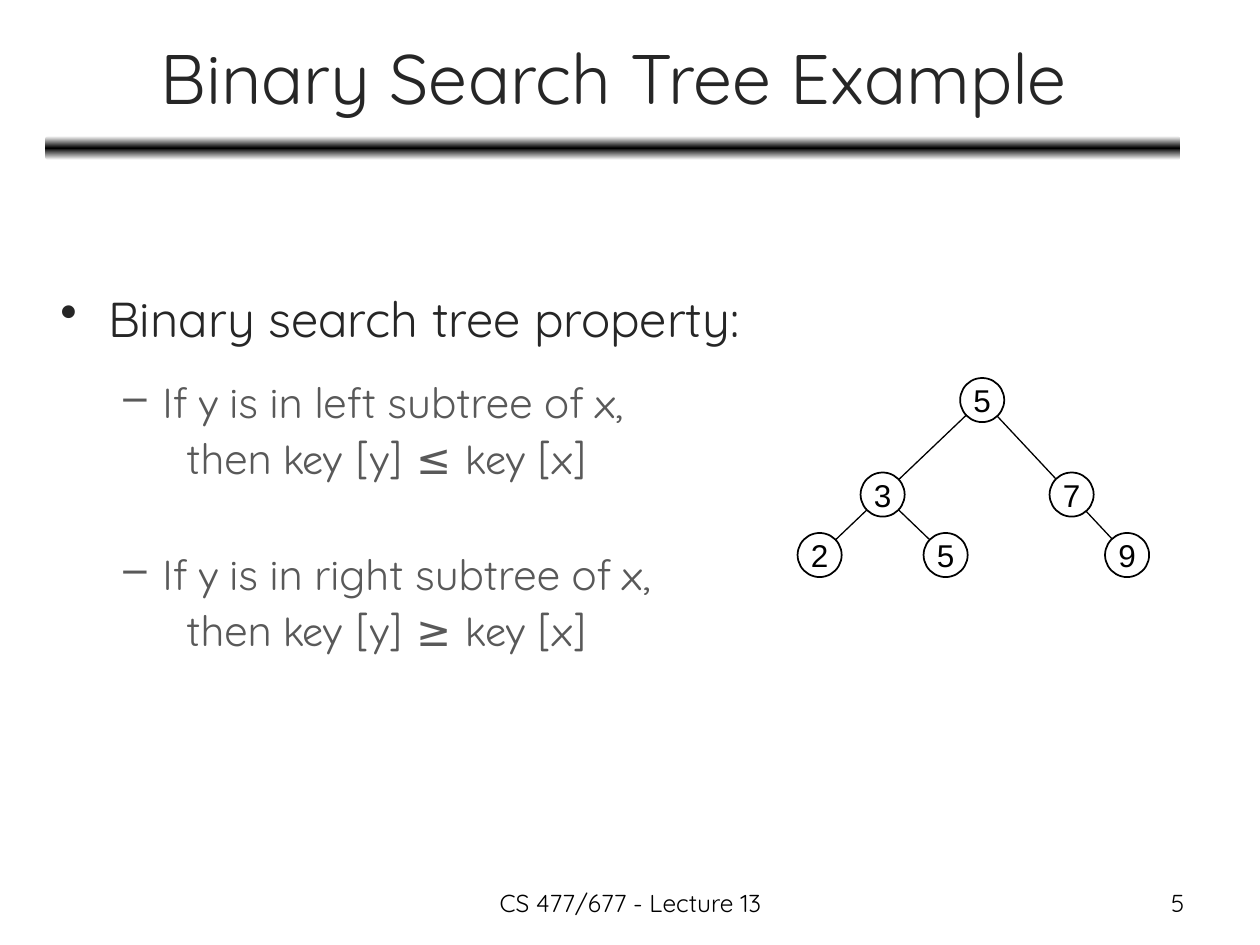
from copy import deepcopy

from lxml.etree import SubElement
from pptx import Presentation
from pptx.dml.color import RGBColor
from pptx.enum.shapes import MSO_CONNECTOR, MSO_SHAPE
from pptx.enum.text import MSO_ANCHOR, PP_ALIGN
from pptx.oxml.ns import qn
from pptx.util import Inches, Pt

BLACK = RGBColor(0x00, 0x00, 0x00)
WHITE = RGBColor(0xFF, 0xFF, 0xFF)
INK = RGBColor(0x26, 0x26, 0x26)
GREY = RGBColor(0x59, 0x59, 0x59)

NODE_SIZE = 0.35
TREE_NODES = {
    "left leaf": ("2", 6.33, 4.23),
    "left child": ("3", 6.83, 3.75),
    "inner leaf": ("5", 7.33, 4.23),
    "root": ("5", 7.62, 3),
    "right child": ("7", 8.33, 3.75),
    "right leaf": ("9", 8.77, 4.23),
}
BRANCHES = [("inner leaf", "left child"), ("right leaf", "root"), ("left leaf", "root")]


class SlideBuilder:
    """Draws styled elements on the current slide."""

    text_font = "Quicksand"
    formula_font = "Comic Neue"
    node_font = "Arial"

    def __init__(self, slide):
        self.slide = slide

    def style(self, font, size, color, name=None):
        font.size, font.name = Pt(size), name or self.text_font
        font.color.rgb = color

    def title(self, text, left, top, width, height):
        title = self.slide.shapes.title
        title.left, title.top = Inches(left), Inches(top)
        title.width, title.height = Inches(width), Inches(height)
        title.text_frame.text = text
        title.text_frame.vertical_anchor = MSO_ANCHOR.MIDDLE
        heading = title.text_frame.paragraphs[0]
        heading.alignment = PP_ALIGN.CENTER
        self.style(heading.font, 40, INK)

    def rule(self, left, top, width, height):
        bar = self.slide.shapes.add_shape(
            MSO_SHAPE.ROUNDED_RECTANGLE, Inches(left), Inches(top), Inches(width), Inches(height))
        bar.shadow.inherit = False
        bar.line.fill.background()
        bar.fill.gradient()
        bar.fill.gradient_angle = 90
        stops = bar._element.spPr.find(qn("a:gradFill")).find(qn("a:gsLst"))
        stops.insert(1, deepcopy(stops[0]))
        for stop, position, color in zip(bar.fill.gradient_stops, (0, 0.5, 1), (WHITE, BLACK, WHITE)):
            stop.position = position
            stop.color.rgb = color

    def text_frame(self, left, top, width, height):
        box = self.slide.shapes.add_textbox(Inches(left), Inches(top), Inches(width), Inches(height))
        box.text_frame.word_wrap = True
        return box.text_frame

    def footer(self, text, left, width, alignment):
        line = self.text_frame(left, 7, width, 0.35).paragraphs[0]
        line.text, line.alignment = text, alignment
        self.style(line.font, 14, BLACK)

    def item(self, paragraph, text, size, color, margin, indent, before, bullet=None):
        """Adds an item whose parts between bars alternate text and formula fonts."""
        paragraph.space_before = Pt(before)
        self.style(paragraph.font, size, color)
        properties = paragraph._p.get_or_add_pPr()
        properties.set("marL", str(Inches(margin)))
        properties.set("indent", str(Inches(indent)))
        if bullet:
            mark = SubElement(properties, qn("a:buChar"))
            mark.set("char", bullet)
            properties.remove(mark)
            properties.find(qn("a:defRPr")).addprevious(mark)
        for index, part in enumerate(text.split("|")):
            run = paragraph.add_run()
            run.text = part
            self.style(run.font, size, color, self.formula_font if index % 2 else self.text_font)

    def branch(self, start, end):
        centre = [Inches(value + NODE_SIZE / 2) for node in (start, end) for value in TREE_NODES[node][1:]]
        line = self.slide.shapes.add_connector(MSO_CONNECTOR.STRAIGHT, *centre)
        line.line.color.rgb, line.line.width = BLACK, Pt(0.75)
        SubElement(line._element.spPr, qn("a:effectLst"))

    def node(self, key, left, top):
        circle = self.slide.shapes.add_shape(
            MSO_SHAPE.OVAL, Inches(left), Inches(top), Inches(NODE_SIZE), Inches(NODE_SIZE))
        circle.shadow.inherit = False
        circle.fill.solid()
        circle.fill.fore_color.rgb = WHITE
        circle.line.color.rgb, circle.line.width = BLACK, Pt(1)
        frame = circle.text_frame
        frame.word_wrap, frame.vertical_anchor = False, MSO_ANCHOR.MIDDLE
        frame.text = key
        label = frame.paragraphs[0]
        label.alignment = PP_ALIGN.CENTER
        self.style(label.font, 18, BLACK, self.node_font)


def main():
    presentation = Presentation()
    presentation.slide_width, presentation.slide_height = Inches(10), Inches(7.5)
    builder = SlideBuilder(presentation.slides.add_slide(presentation.slide_layouts[5]))

    builder.rule(0.36, 1.08, 9.01, 0.19)
    builder.title("Binary Search Tree Example", 0.37, 0.11, 9, 0.99)
    builder.footer("CS 477/677 - Lecture 13", 3.42, 3.17, PP_ALIGN.CENTER)
    builder.footer("5", 7.17, 2.33, PP_ALIGN.RIGHT)

    body = builder.text_frame(0.38, 2.24, 6.12, 4.09)
    builder.item(body.paragraphs[0], "Binary search tree property:", 28, INK, 0.38, -0.38, 0, "•")
    for side, relation, before in (("left", "≤", 16.5), ("right", "≥", 37)):
        builder.item(body.add_paragraph(), f"If |y| is in {side} subtree of |x|,",
                     24, GREY, 0.81, -0.31, before, "–")
        builder.item(body.add_paragraph(), f"then |key [y] {relation} key [x]",
                     24, GREY, 1.25, -0.25, 3.6)

    for start, end in BRANCHES:
        builder.branch(start, end)
    for key, left, top in TREE_NODES.values():
        builder.node(key, left, top)

    presentation.save("out.pptx")


if __name__ == "__main__":
    main()
